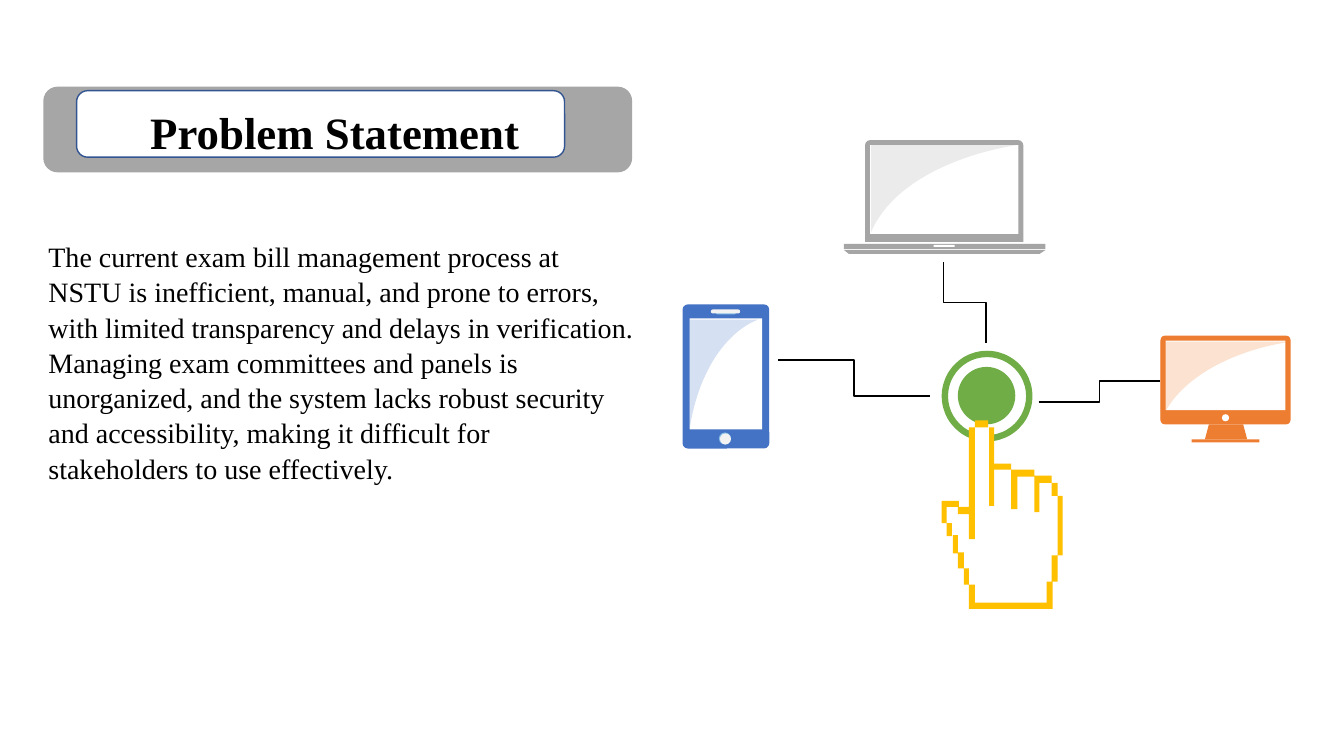
import pptx
import pptx.util
import pptx.dml.color
import pptx.enum.shapes
import pptx.enum.text
import pptx.oxml.ns
import lxml.etree

Inches = pptx.util.Inches
RGBColor = pptx.dml.color.RGBColor
MSO_SHAPE = pptx.enum.shapes.MSO_SHAPE
qn = pptx.oxml.ns.qn

WHITE = RGBColor(0xFF, 0xFF, 0xFF)
BLACK = RGBColor(0, 0, 0)
GREEN = RGBColor(0x70, 0xAD, 0x47)
GOLD = RGBColor(0xFF, 0xC0, 0x00)
BLUE = RGBColor(0x44, 0x72, 0xC4)
SKY = RGBColor(0x87, 0xBC, 0xE6)
PALE = RGBColor(0xF2, 0xF2, 0xF2)
GREY = RGBColor(0xA5, 0xA5, 0xA5)
ORANGE = RGBColor(0xED, 0x7D, 0x31)
BANNER = RGBColor(0xA6, 0xA6, 0xA6)
NAVY = RGBColor(0x32, 0x54, 0x91)

prs = pptx.Presentation()
prs.slide_width, prs.slide_height = Inches(13.33), Inches(7.5)
slide = prs.slides.add_slide(prs.slide_layouts[1])
shapes = slide.shapes


def preset(kind, left, top, width, height, fill, adjust=None):
    shape = shapes.add_shape(kind, Inches(left), Inches(top), Inches(width), Inches(height))
    shape.shadow.inherit = False
    shape.fill.solid()
    shape.fill.fore_color.rgb = fill
    shape.line.fill.background()
    if adjust is not None:
        shape.adjustments[0] = adjust
    return shape


def outline(contours, fill):
    builder = None
    for contour in contours:
        points = [(Inches(x), Inches(y)) for x, y in contour]
        if builder is None:
            builder = shapes.build_freeform(*points[0])
        else:
            builder.move_to(*points[0])
        builder.add_line_segments(points[1:], close=True)
    shape = builder.convert_to_shape()
    shape.shadow.inherit = False
    shape.fill.solid()
    shape.fill.fore_color.rgb = fill
    shape.line.fill.background()
    return shape


# Touch button
preset(MSO_SHAPE.DONUT, 9.34, 3.48, 0.9, 0.9, GREEN, 0.07)
preset(MSO_SHAPE.OVAL, 9.5, 3.64, 0.57, 0.57, GREEN)

# Pointing hand: white palm, then the pixel border
palm = [(9.67, 4.24), (9.81, 4.24), (9.81, 5.02), (9.86, 5.02), (9.86, 4.66), (10.04, 4.66),
        (10.04, 5.02), (10.09, 5.02), (10.09, 4.71), (10.26, 4.71), (10.26, 4.77), (10.43, 4.77),
        (10.43, 4.92), (10.53, 4.92), (10.53, 5.51), (10.43, 5.51), (10.43, 5.77), (10.41, 5.77),
        (10.41, 5.99), (9.64, 5.99), (9.64, 5.8), (9.61, 5.8), (9.61, 5.64), (9.54, 5.64),
        (9.54, 5.48), (9.47, 5.48), (9.47, 5.32), (9.42, 5.32), (9.42, 5.19), (9.34, 5.19),
        (9.34, 5.03), (9.52, 5.03), (9.52, 5.04), (9.64, 5.04), (9.64, 5.02), (9.67, 5.02)]
wrist = [(10.43, 5.51), (10.49, 5.51), (10.49, 5.77), (10.44, 5.77), (10.44, 6.04), (9.61, 6.04),
         (9.61, 5.8), (9.67, 5.8), (9.67, 5.98), (10.38, 5.98), (10.38, 5.77), (10.43, 5.77)]
heel = [(9.45, 5.31), (9.5, 5.31), (9.5, 5.48), (9.56, 5.48), (9.56, 5.64), (9.61, 5.64),
        (9.61, 5.8), (9.56, 5.8), (9.56, 5.64), (9.5, 5.64), (9.5, 5.49), (9.45, 5.49)]
little_side = [(10.49, 4.92), (10.54, 4.92), (10.54, 5.51), (10.49, 5.51)]
little_tip = [(10.43, 4.79), (10.49, 4.79), (10.49, 4.92), (10.43, 4.92)]
knuckles = [(10.03, 4.66), (10.26, 4.66), (10.26, 4.72), (10.43, 4.72), (10.43, 4.79),
            (10.31, 4.79), (10.31, 5.08), (10.26, 5.08), (10.26, 4.73), (10.09, 4.73),
            (10.09, 5.05), (10.03, 5.05)]
index_right = [(9.81, 4.24), (9.86, 4.24), (9.86, 4.6), (10.03, 4.6), (10.03, 4.66),
               (9.86, 4.66), (9.86, 5.02), (9.81, 5.02)]
thumb = [(9.61, 4.24), (9.67, 4.24), (9.67, 5.35), (9.61, 5.35), (9.61, 5.1), (9.5, 5.1),
         (9.5, 5.03), (9.39, 5.03), (9.39, 5.19), (9.44, 5.19), (9.44, 5.32), (9.39, 5.32),
         (9.39, 5.19), (9.34, 5.19), (9.34, 4.97), (9.51, 4.97), (9.51, 5.03), (9.61, 5.03)]
index_tip = [(9.67, 4.17), (9.8, 4.17), (9.8, 4.24), (9.67, 4.24)]
outline([palm], WHITE)
outline([wrist, heel, little_side, little_tip, knuckles, index_right, thumb, index_tip], GOLD)

# Phone
preset(MSO_SHAPE.ROUNDED_RECTANGLE, 6.77, 3.02, 0.86, 1.43, BLUE, 0.06)
preset(MSO_SHAPE.RECTANGLE, 6.84, 3.16, 0.72, 1.1, WHITE)
preset(MSO_SHAPE.ROUNDED_RECTANGLE, 7.1, 3.08, 0.2, 0.04, SKY, 0.5)
preset(MSO_SHAPE.OVAL, 7.13, 4.29, 0.12, 0.12, SKY)
preset(MSO_SHAPE.ROUNDED_RECTANGLE, 7.05, 3.07, 0.29, 0.04, PALE, 0.5)
preset(MSO_SHAPE.OVAL, 7.14, 4.3, 0.11, 0.11, PALE)

# Laptop
preset(MSO_SHAPE.ROUND_2_SAME_RECTANGLE, 8.58, 1.39, 1.57, 1.01, GREY, 0.05)
preset(MSO_SHAPE.RECTANGLE, 8.63, 1.44, 1.47, 0.88, WHITE)
preset(MSO_SHAPE.RECTANGLE, 8.37, 2.42, 2, 0.05, GREY)
preset(MSO_SHAPE.RECTANGLE, 9.26, 2.43, 0.21, 0.02, WHITE)
outline([[(8.37, 2.48), (10.37, 2.48), (10.31, 2.52), (8.42, 2.52)]], GREY)

# Monitor
preset(MSO_SHAPE.ROUNDED_RECTANGLE, 11.51, 3.33, 1.29, 0.88, ORANGE, 0.05)
preset(MSO_SHAPE.RECTANGLE, 11.56, 3.38, 1.19, 0.69, WHITE)
preset(MSO_SHAPE.OVAL, 12.12, 4.11, 0.07, 0.07, WHITE)
outline([[(11.99, 4.21), (12.33, 4.21), (12.37, 4.36), (11.95, 4.36)]], ORANGE)
preset(MSO_SHAPE.RECTANGLE, 11.82, 4.36, 0.67, 0.03, ORANGE)

# Screen glare: one cubic curve scaled to each device
STEPS = 24
for left, top, width, height, tint in [(6.84, 3.17, 0.68, 1.08, BLUE),
                                       (8.64, 1.43, 1.51, 0.87, GREY),
                                       (11.51, 3.39, 1.29, 0.79, ORANGE)]:
    glare_edge = [(left, top)]
    for step in range(STEPS + 1):
        t = step / STEPS
        u = 1 - t
        across = 3 * u * u * t * 0.15 + 3 * u * t * t * 0.62 + t ** 3
        down = u ** 3 + 3 * u * u * t * 0.4 + 3 * u * t * t * 0.09
        glare_edge.append((left + width * across, top + height * down))
    glare = outline([glare_edge], tint)
    tint_xml = glare._element.spPr.find(qn("a:solidFill")).find(qn("a:srgbClr"))
    lxml.etree.SubElement(tint_xml, qn("a:alpha")).set("val", "22000")

# Links from the devices to the button; the laptop link is turned upright
for x1, y1, x2, y2, turn in [(7.72, 3.57, 9.22, 3.93, None),
                             (9.97, 2.79, 9.17, 3.21, "16200000"),
                             (10.3, 3.99, 11.51, 3.78, None)]:
    link = shapes.add_connector(pptx.enum.shapes.MSO_CONNECTOR.ELBOW,
                                Inches(x1), Inches(y1), Inches(x2), Inches(y2))
    link.line.color.rgb = BLACK
    link.line.width = pptx.util.Pt(1)
    link_xml = link._element.spPr
    lxml.etree.SubElement(link_xml, qn("a:effectLst"))
    if turn:
        link_xml.find(qn("a:xfrm")).set("rot", turn)

# Title banner
preset(MSO_SHAPE.ROUNDED_RECTANGLE, 0.43, 0.86, 5.84, 0.85, BANNER)
title_plate = preset(MSO_SHAPE.ROUNDED_RECTANGLE, 0.76, 0.9, 4.84, 0.66, WHITE)
title_plate.line.color.rgb = NAVY
title_plate.line.width = pptx.util.Pt(1)

# Title and statement, brought in front of the banner
statement_text = (
    "The current exam bill management process at NSTU is inefficient, manual, and prone to errors, "
    "with limited transparency and delays in verification. Managing exam committees and panels is "
    "unorganized, and the system lacks robust security and accessibility, making it difficult for "
    "stakeholders to use effectively.")
title, statement = shapes.title, slide.placeholders[1]
for holder, box, words, size, bold, spacing in [
        (title, (1.39, 0.95, 4.42, 0.64), "Problem Statement", 32, True, 1.08),
        (statement, (0.38, 2.31, 6.04, 2.53), statement_text, 20, False, 1.05)]:
    holder.left, holder.top, holder.width, holder.height = [Inches(v) for v in box]
    frame = holder.text_frame
    frame.word_wrap = True
    frame.auto_size = pptx.enum.text.MSO_AUTO_SIZE.NONE
    frame.vertical_anchor = pptx.enum.text.MSO_ANCHOR.TOP
    paragraph = frame.paragraphs[0]
    paragraph.alignment = pptx.enum.text.PP_ALIGN.LEFT
    paragraph.line_spacing = spacing
    paragraph.space_before = pptx.util.Pt(0)
    run = paragraph.add_run()
    run.text = words
    run.font.name = "Times New Roman"
    run.font.size = pptx.util.Pt(size)
    run.font.bold = bold
    run.font.color.rgb = BLACK
    shapes._spTree.append(holder._element)

# The statement is plain text without a bullet
statement_props = statement.text_frame.paragraphs[0]._p.get_or_add_pPr()
statement_props.set("marL", "0")
statement_props.set("indent", "0")
lxml.etree.SubElement(statement_props, qn("a:buNone"))

prs.save("out.pptx")
